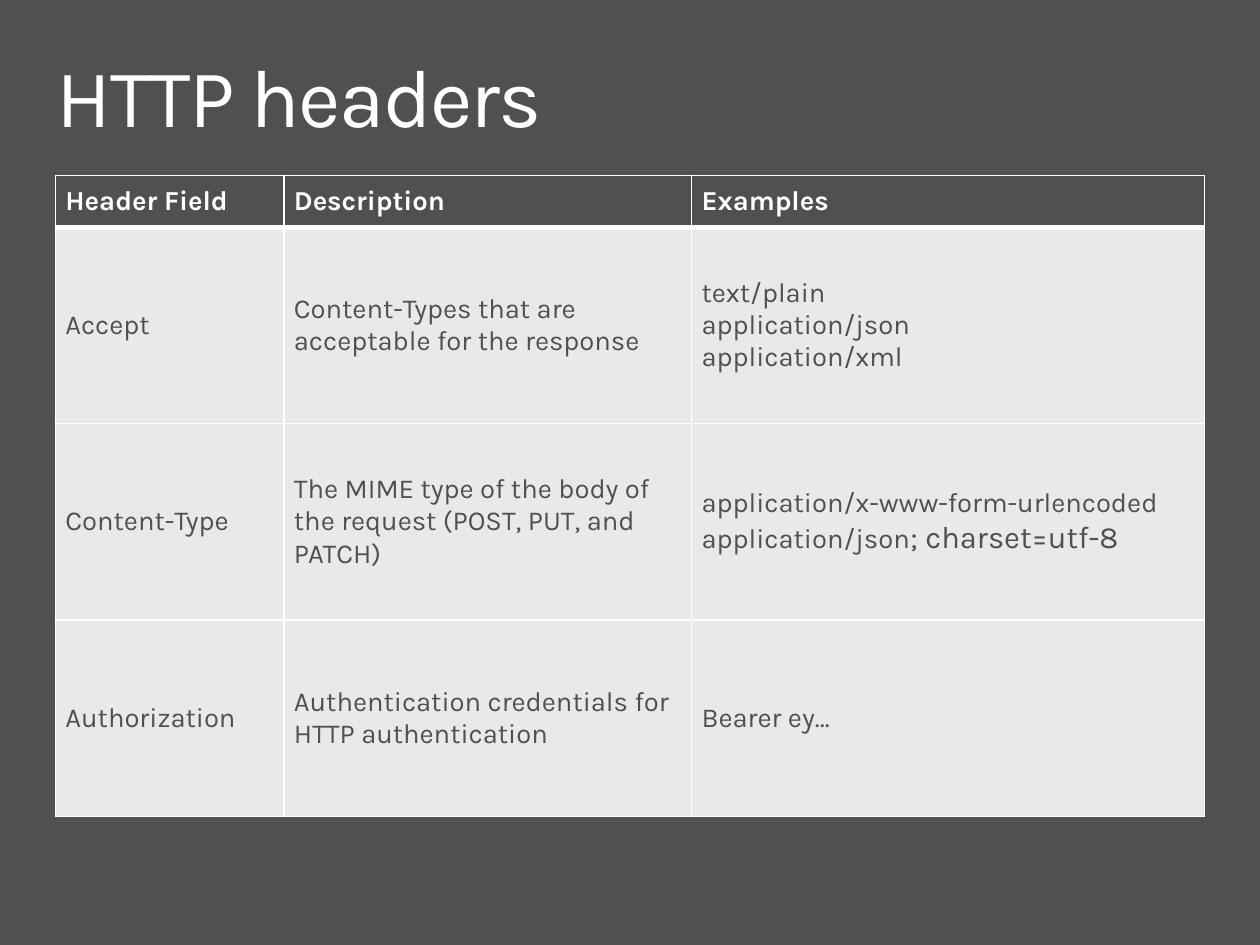
from dataclasses import dataclass

from lxml import etree
from pptx import Presentation
from pptx import util as u
from pptx.dml.color import RGBColor
from pptx.enum import text
from pptx.oxml import ns


@dataclass(frozen=True)
class Theme:
    font: str = "Karla"
    dark: str = "505050"
    light: str = "E9E9E9"
    white: str = "FFFFFF"
    title_size: int = 48
    cell_size: int = 16
    large_size: int = 18
    thin: int = 1
    thick: int = 3


THEME = Theme()
WIDTH, HEIGHT = 10.2, 7.65
COLUMNS = (1.85, 3.3, 4.15)
HEADER_ROW, BODY_ROW = 0.42, 1.59
TABLE_LEFT, TABLE_TOP = 0.45, 1.42
CELL_MARGIN = u.Inches(0.08)

# A cell is a list of lines; a line is a list of (wording, size) spans.
HEADINGS = ("Header Field", "Description", "Examples")
FIELDS = (
    ("Accept", "Content-Types that are acceptable for the response",
     ("text/plain", "application/json", "application/xml")),
    ("Content-Type",
     "The MIME type of the body of the request (POST, PUT, and PATCH)",
     ("application/x-www-form-urlencoded",
      (("application/json", THEME.cell_size),
       ("; charset=utf-8", THEME.large_size)))),
    ("Authorization", "Authentication credentials for HTTP authentication",
     ("Bearer ey…",)),
)


def paint(fill, color):
    fill.solid()
    fill.fore_color.rgb = RGBColor.from_string(color)


def write(para, wording, *, size, color, bold=False, tracking=None):
    """Add one formatted span; tracking is in points."""
    span = para.add_run()
    span.text = wording
    font = span.font
    font.name = THEME.font
    font.size = u.Pt(size)
    font.bold = bold
    font.color.rgb = RGBColor.from_string(color)
    if tracking is not None:
        span._r.get_or_add_rPr().set("spc", str(tracking * 100))


def border_cell(cell, **widths):
    """Draw the sides L, R, T and B in white, at widths in points."""
    properties = cell._tc.get_or_add_tcPr()
    for side, width in widths.items():
        line = etree.SubElement(properties, ns.qn(f"a:ln{side}"),
                                w=str(u.Pt(width)))
        solid = etree.SubElement(line, ns.qn("a:solidFill"))
        etree.SubElement(solid, ns.qn("a:srgbClr"), val=THEME.white)


def fill_cell(cell, content, *, fill, color, bold=False):
    cell.vertical_anchor = text.MSO_ANCHOR.MIDDLE
    cell.margin_left = cell.margin_right = CELL_MARGIN
    cell.margin_top = cell.margin_bottom = CELL_MARGIN
    paint(cell.fill, fill)
    lines = (content,) if isinstance(content, str) else content
    for index, line in enumerate(lines):
        frame = cell.text_frame
        para = frame.add_paragraph() if index else frame.paragraphs[0]
        spans = ((line, THEME.cell_size),) if isinstance(line, str) else line
        for wording, size in spans:
            write(para, wording, size=size, color=color, bold=bold)


def add_title(page, wording):
    box = page.shapes.title
    box.left, box.top = u.Inches(0.3), u.Inches(0.32)
    box.width, box.height = u.Inches(9.6), u.Inches(1)
    frame = box.text_frame
    frame.word_wrap = True
    frame.auto_size = text.MSO_AUTO_SIZE.NONE
    frame.vertical_anchor = text.MSO_ANCHOR.MIDDLE
    frame.margin_left = frame.margin_right = u.Inches(0.16)
    frame.margin_top = frame.margin_bottom = u.Inches(0.1)
    para = frame.paragraphs[0]
    para.alignment = text.PP_ALIGN.LEFT
    para.line_spacing = 0.9
    write(para, wording, size=THEME.title_size, color=THEME.white, tracking=-1)


def add_header_table(page):
    rows = (HEADINGS, *FIELDS)
    heights = (HEADER_ROW, *[BODY_ROW] * len(FIELDS))
    table = page.shapes.add_table(
        len(rows), len(COLUMNS), u.Inches(TABLE_LEFT), u.Inches(TABLE_TOP),
        u.Inches(sum(COLUMNS)), u.Inches(sum(heights))).table
    table.horz_banding = False
    for column, width in zip(table.columns, COLUMNS):
        column.width = u.Inches(width)
    for index, (row, height, contents) in enumerate(
            zip(table.rows, heights, rows)):
        row.height = u.Inches(height)
        heading = index == 0
        for cell, content in zip(row.cells, contents):
            border_cell(cell, L=THEME.thin, R=THEME.thin,
                        T=THEME.thick if index == 1 else THEME.thin,
                        B=THEME.thick if heading else THEME.thin)
            fill_cell(cell, content, bold=heading,
                      fill=THEME.dark if heading else THEME.light,
                      color=THEME.white if heading else THEME.dark)


def main():
    deck = Presentation()
    deck.slide_width, deck.slide_height = u.Inches(WIDTH), u.Inches(HEIGHT)
    page = deck.slides.add_slide(deck.slide_layouts.get_by_name("Title Only"))
    paint(page.background.fill, THEME.dark)
    add_title(page, "HTTP headers")
    add_header_table(page)
    deck.save("out.pptx")


if __name__ == "__main__":
    main()
